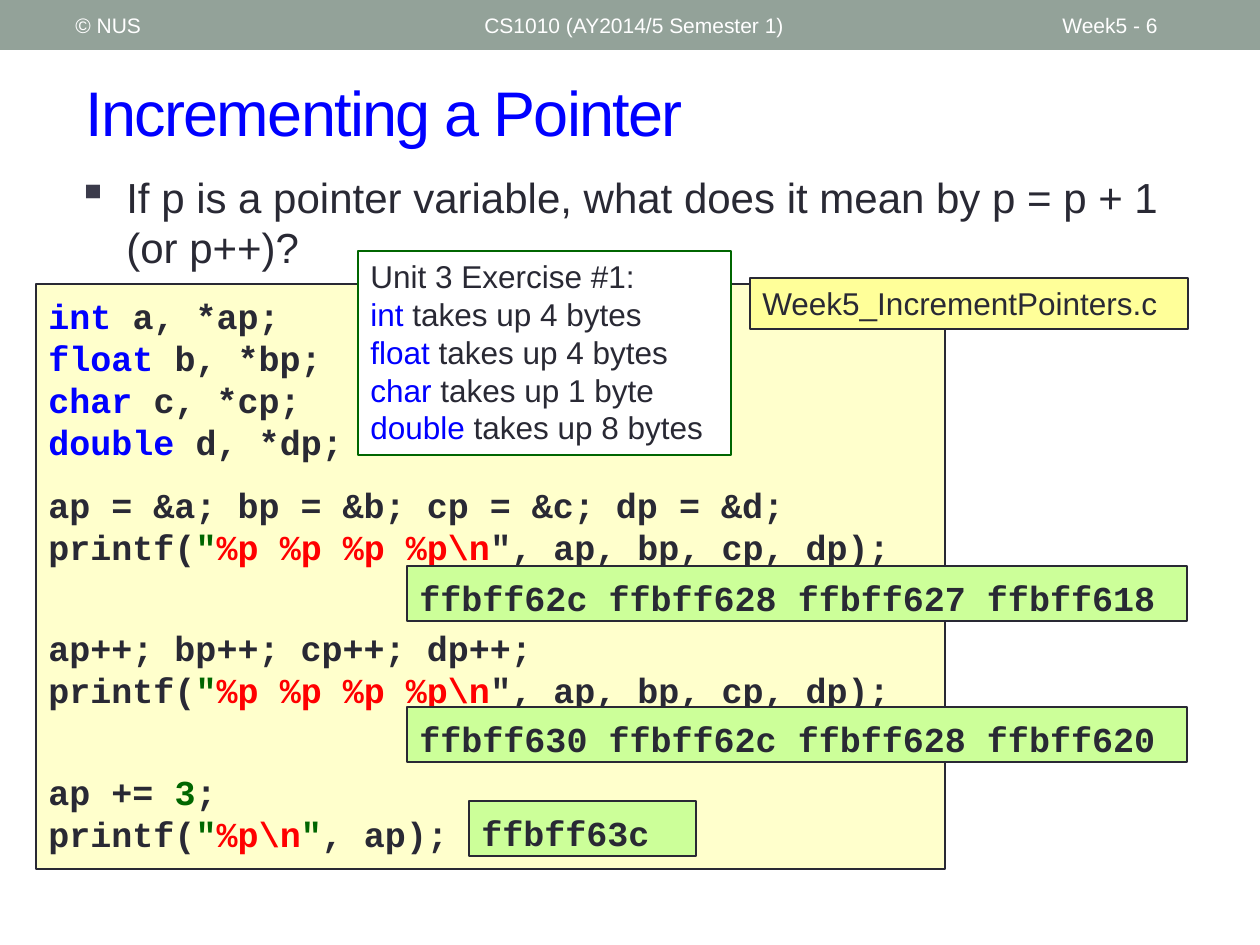
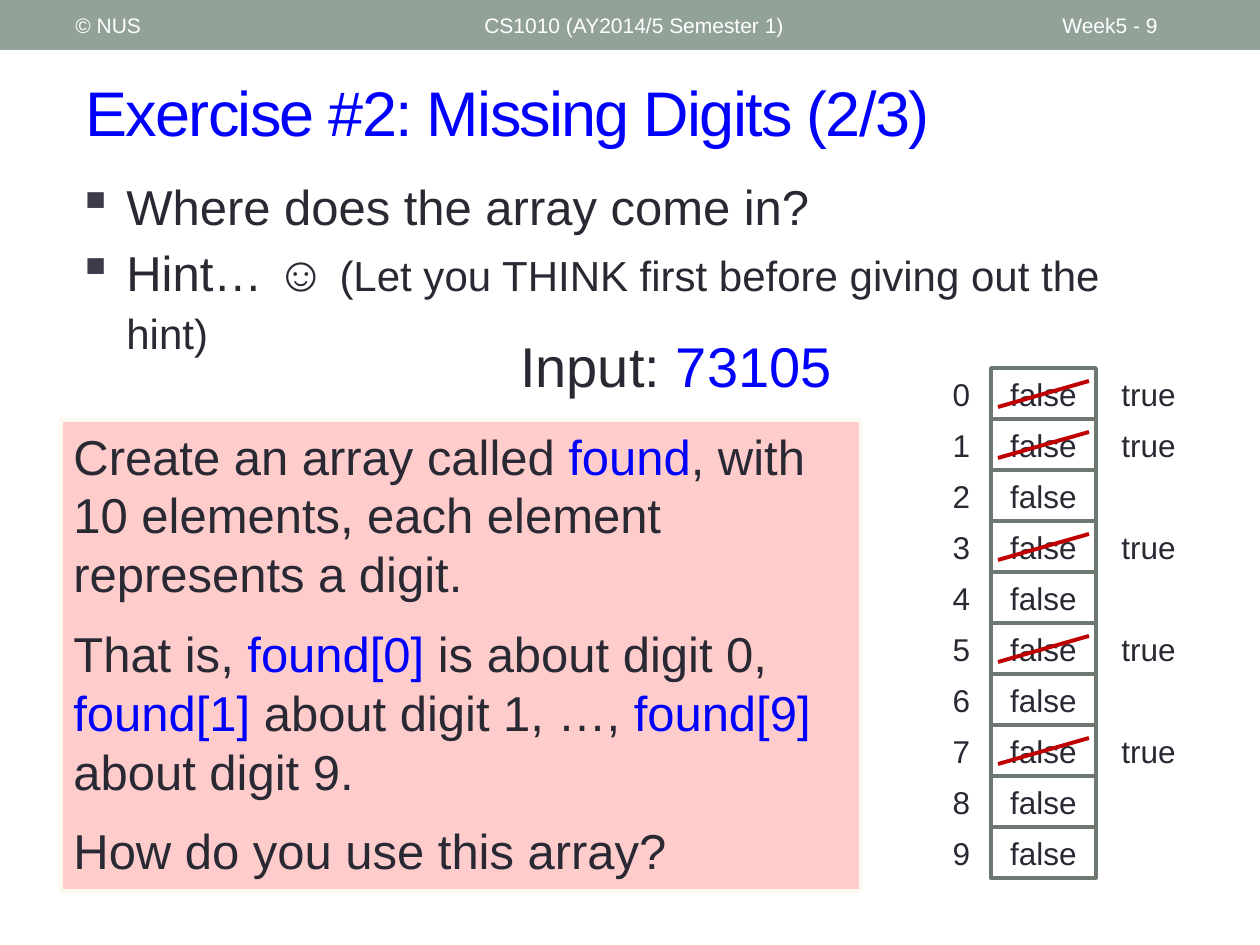
from lxml.etree import SubElement
from pptx import Presentation
from pptx.dml.color import RGBColor
from pptx.enum.shapes import MSO_CONNECTOR as Connector, MSO_SHAPE as Shape
from pptx.enum.text import MSO_ANCHOR as Anchor, PP_ALIGN as Align
from pptx.oxml.ns import qn
from pptx.util import Pt

EMU_PER_PX = 914400 / 126
SANS, MONO = "Arial", "Courier New"
INK = RGBColor(0x29, 0x29, 0x34)
BULLET = RGBColor(0x3B, 0x3B, 0x4B)
BLUE = RGBColor(0x00, 0x00, 0xFF)
GREEN = RGBColor(0x00, 0x66, 0x00)
RED = RGBColor(0xFF, 0x00, 0x00)
WHITE = RGBColor(0xFF, 0xFF, 0xFF)
BAND = RGBColor(0x93, 0xA2, 0x99)
CODE_FILL = RGBColor(0xFF, 0xFF, 0xCC)
FILE_FILL = RGBColor(0xFF, 0xFF, 0x99)
OUTPUT_FILL = RGBColor(0xCC, 0xFF, 0x99)
HINT_FILL = RGBColor(0xFF, 0xCC, 0xCC)
HINT_EDGE = RGBColor(0xFA, 0xFA, 0xF1)
CELL_EDGE = RGBColor(0x6D, 0x78, 0x71)
STRIKE = RGBColor(0xC0, 0x00, 0x00)


def px(*lengths):
    return [round(length * EMU_PER_PX) for length in lengths]


def add_bullet(paragraph):
    properties = paragraph._p.get_or_add_pPr()
    indent, = px(49)
    properties.set("marL", str(indent))
    properties.set("indent", str(-indent))
    color = SubElement(properties, qn("a:buClr"))
    SubElement(color, qn("a:srgbClr")).set("val", str(BULLET))
    SubElement(properties, qn("a:buChar")).set("char", "▪")


def write(frame, paragraphs, size=18, font=SANS, color=INK, bold=False,
          align=Align.LEFT, anchor=Anchor.TOP, gaps=None, leading=None,
          bullet=False, tracking=0):
    """Each paragraph is a list of runs: a string, or (text, color[, size])."""
    frame.word_wrap = True
    frame.vertical_anchor = anchor
    if font == MONO:
        frame.margin_top, frame.margin_bottom = px(10, 2)
    for index, runs in enumerate(paragraphs):
        paragraph = frame.add_paragraph() if index else frame.paragraphs[0]
        if bullet:
            add_bullet(paragraph)
        paragraph.alignment = align
        paragraph.line_spacing = Pt(leading[index] if leading else size * 1.2)
        if gaps and index in gaps:
            paragraph.space_before = Pt(gaps[index])
        for item in runs:
            words, *style = (item,) if isinstance(item, str) else item
            run = paragraph.add_run()
            run.text = words
            run.font.name = font
            run.font.bold = bold
            run.font.color.rgb = style[0] if style else color
            run.font.size = Pt(style[1] if len(style) > 1 else size)
            if tracking:
                run._r.get_or_add_rPr().set("spc", str(tracking * 100))


def add_text(slide, box, paragraphs, **style):
    write(slide.shapes.add_textbox(*px(*box)).text_frame, paragraphs, **style)


def add_panel(slide, box, paragraphs=(), fill=None, edge=INK, weight=0.75, **style):
    panel = slide.shapes.add_shape(Shape.RECTANGLE, *px(*box))
    panel.shadow.inherit = False
    if fill is None:
        panel.fill.background()
    else:
        panel.fill.solid()
        panel.fill.fore_color.rgb = fill
    if edge is None:
        panel.line.fill.background()
    else:
        panel.line.color.rgb = edge
        panel.line.width = Pt(weight)
    write(panel.text_frame, paragraphs, **style)


def add_strike(slide, *ends):
    strike = slide.shapes.add_connector(Connector.STRAIGHT, *px(*ends))
    strike.line.color.rgb = STRIKE
    strike.line.width = Pt(2.25)
    SubElement(strike._element.spPr, qn("a:effectLst"))


def add_lecture_slide(deck, title, number):
    slide = deck.slides.add_slide(deck.slide_layouts[5])
    add_panel(slide, (0, 0, 1260, 50), fill=BAND, edge=None)
    heading = slide.shapes.title
    heading.left, heading.top, heading.width, heading.height = px(73, 53, 1155, 116)
    write(heading.text_frame, [[title]], size=36, color=BLUE,
          anchor=Anchor.MIDDLE, tracking=-1)
    for left, width, label in ((63, 399, "© NUS"),
                               (472, 567, "CS1010 (AY2014/5 Semester 1)"),
                               (1050, 147, f"Week5 - {number}")):
        add_text(slide, (left, 3, width, 45), [[label]], size=12,
                 color=WHITE, anchor=Anchor.MIDDLE)
    return slide


def build_pointer_slide(deck):
    slide = add_lecture_slide(deck, "Incrementing a Pointer", 6)
    add_text(slide, (65, 165, 1123, 108),
             [["If p is a pointer variable, what does it mean by p = p + 1 (or p++)?"]],
             size=24, bullet=True)

    declarations = [[(f"{kind} ", BLUE), f"{name}, *{name}p;"]
                    for kind, name in zip(("int", "float", "char", "double"), "abcd")]
    print_all = ["printf(", ('"', GREEN), ("%p %p %p %p\\n", RED), '", ap, bp, cp, dp);']
    code = declarations + [
        ["ap = &a; bp = &b; cp = &c; dp = &d;"], print_all,
        ["ap++; bp++; cp++; dp++;"], print_all,
        ["ap += ", ("3", GREEN), ";"],
        ["printf(", ('"', GREEN), ("%p\\n", RED), ('"', GREEN), ", ap);"],
    ]
    mono = dict(size=20, font=MONO, bold=True)
    add_panel(slide, (36, 284, 909, 585), code, fill=CODE_FILL,
              gaps={4: 12, 6: 34, 8: 34}, **mono)
    add_panel(slide, (750, 278, 438, 51), [["Week5_IncrementPointers.c"]], fill=FILE_FILL)

    sizes = (("int", "4 bytes"), ("float", "4 bytes"),
             ("char", "1 byte"), ("double", "8 bytes"))
    add_panel(slide, (358, 251, 373, 204),
              [["Unit 3 Exercise #1:"]]
              + [[(kind, BLUE), f" takes up {amount}"] for kind, amount in sizes],
              fill=WHITE, edge=GREEN)

    for box, output in (((407, 566, 780, 55), "ffbff62c ffbff628 ffbff627 ffbff618"),
                        ((407, 707, 780, 55), "ffbff630 ffbff62c ffbff628 ffbff620"),
                        ((469, 801, 227, 55), "ffbff63c")):
        add_panel(slide, box, [[output]], fill=OUTPUT_FILL, **mono)


def add_found_array(slide, input_digits):
    top, pitch = 368, 51
    centred = dict(align=Align.CENTER, anchor=Anchor.MIDDLE)
    for digit in range(10):
        row = top + pitch * digit
        add_text(slide, (935, row, 53, pitch), [[str(digit)]], **centred)
        add_panel(slide, (991, row, 105, pitch), [["false"]],
                  edge=CELL_EDGE, weight=2.08, **centred)
        if str(digit) in input_digits:
            add_text(slide, (1096, row, 105, pitch), [["true"]], **centred)
            add_strike(slide, 998, row + 39, 1089, row + 13)


def build_digits_slide(deck):
    slide = add_lecture_slide(deck, "Exercise #2: Missing Digits (2/3)", 9)
    add_text(slide, (65, 170, 1138, 140),
             [["Where does the array come in?"],
              ["Hint… ☺ ", ("(Let you THINK first before giving out the hint)", INK, 24)]],
             size=28, bullet=True, gaps={1: 6}, leading=(33.6, 32))
    add_panel(slide, (61, 420, 800, 471),
              [["Create an array called ", ("found", BLUE),
                ", with 10 elements, each element represents a digit."],
               ["That is, ", ("found[0]", BLUE), " is about digit 0, ",
                ("found[1]", BLUE), " about digit 1, …, ",
                ("found[9]", BLUE), " about digit 9."],
               ["How do you use this array?"]],
              fill=HINT_FILL, edge=HINT_EDGE, weight=2.25, size=28, gaps={1: 12, 2: 12})
    input_digits = "73105"
    add_found_array(slide, input_digits)
    add_text(slide, (490, 325, 372, 81), [["Input: ", (input_digits, BLUE)]],
             size=32, align=Align.CENTER)


def main():
    deck = Presentation()
    deck.slide_width, deck.slide_height = px(1260, 945)
    build_pointer_slide(deck)
    build_digits_slide(deck)
    deck.save("out.pptx")


if __name__ == "__main__":
    main()
